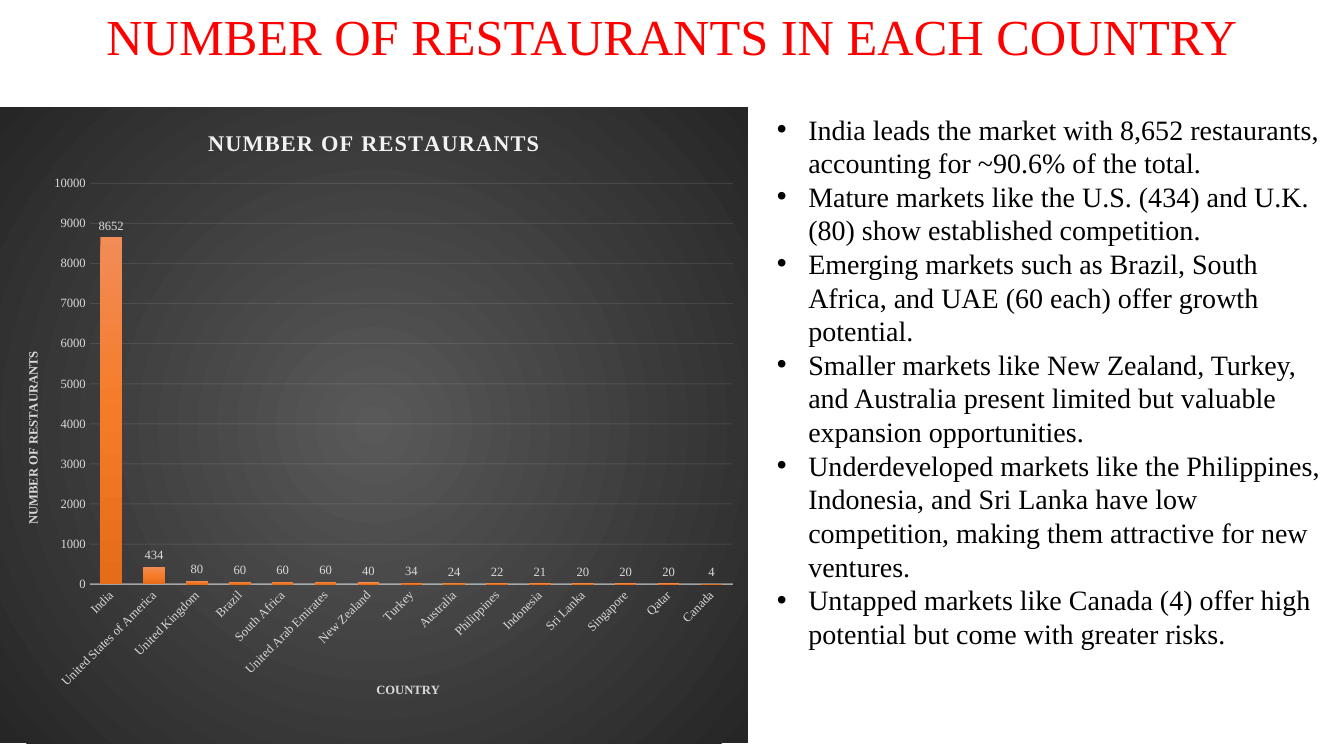
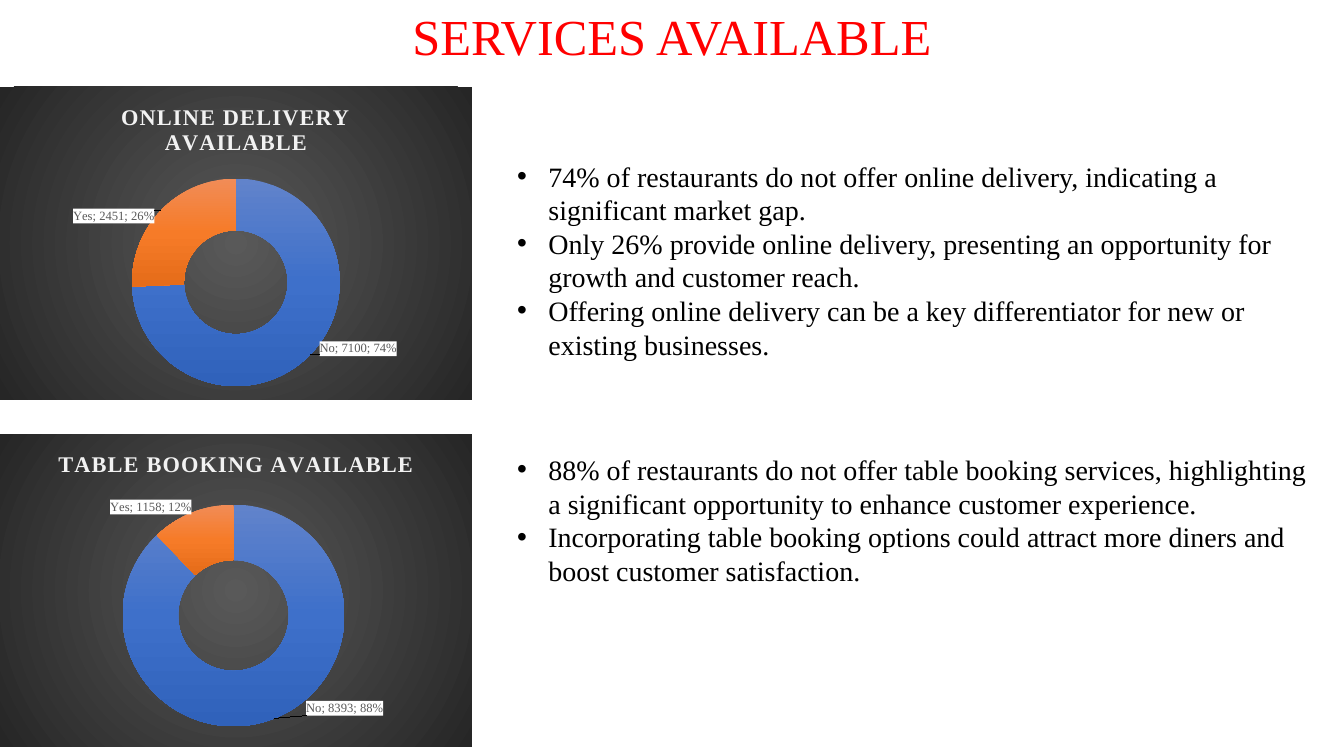
from pptx import Presentation
from pptx.chart.data import CategoryChartData
from pptx.dml.color import RGBColor
from pptx.enum.chart import XL_CHART_TYPE as CT, XL_LABEL_POSITION as POS, XL_TICK_MARK as TICK
from pptx.enum.text import MSO_ANCHOR as ANCHOR, MSO_AUTO_SIZE as AUTO, PP_ALIGN as ALIGN
from pptx.oxml import parse_xml
from pptx.oxml.ns import nsdecls, qn
from pptx.util import Cm, Pt

RED = RGBColor(0xFF, 0x00, 0x00)
BLACK = RGBColor(0x00, 0x00, 0x00)
WHITE = RGBColor(0xFF, 0xFF, 0xFF)
PALE = RGBColor(0xF2, 0xF2, 0xF2)
SILVER = RGBColor(0xD9, 0xD9, 0xD9)
GREY = RGBColor(0x59, 0x59, 0x59)
CHARCOAL = RGBColor(0x26, 0x26, 0x26)
ORANGES = (RGBColor(0xF1, 0x8C, 0x57), RGBColor(0xF6, 0x7B, 0x28), RGBColor(0xE5, 0x6C, 0x19))
BLUES = (RGBColor(0x61, 0x83, 0xCB), RGBColor(0x3E, 0x70, 0xCA), RGBColor(0x30, 0x62, 0xBB))
FONT = "Times New Roman"
NS = nsdecls("c", "a")
DOWNWARD = '<a:lin ang="5400000" scaled="0"/>'
RADIAL = ('<a:path path="circle"><a:fillToRect l="50000" t="50000" '
          'r="50000" b="50000"/></a:path>')

COUNTRIES = {
    "India": 8652, "United States of America": 434, "United Kingdom": 80,
    "Brazil": 60, "South Africa": 60, "United Arab Emirates": 60,
    "New Zealand": 40, "Turkey": 34, "Australia": 24, "Philippines": 22,
    "Indonesia": 21, "Sri Lanka": 20, "Singapore": 20, "Qatar": 20, "Canada": 4,
}
COUNTRY_POINTS = [
    "India leads the market with 8,652 restaurants, accounting for ~90.6% of the total.",
    "Mature markets like the U.S. (434) and U.K. (80) show established competition.",
    "Emerging markets such as Brazil, South Africa, and UAE (60 each) offer growth potential.",
    "Smaller markets like New Zealand, Turkey, and Australia present limited but valuable "
    "expansion opportunities.",
    "Underdeveloped markets like the Philippines, Indonesia, and Sri Lanka have low "
    "competition, making them attractive for new ventures.",
    "Untapped markets like Canada (4) offer high potential but come with greater risks.",
]
DELIVERY_POINTS = [
    "74% of restaurants do not offer online delivery, indicating a significant market gap.",
    "Only 26% provide online delivery, presenting an opportunity for growth and customer reach.",
    "Offering online delivery can be a key differentiator for new or existing businesses.",
]
BOOKING_POINTS = [
    "88% of restaurants do not offer table booking services, highlighting a significant "
    "opportunity to enhance customer experience.",
    "Incorporating table booking options could attract more diners and boost customer "
    "satisfaction.",
]


def gradient(colors, direction):
    step = 100000 // (len(colors) - 1)
    stops = "".join(f'<a:gs pos="{i * step}"><a:srgbClr val="{c}"/></a:gs>'
                    for i, c in enumerate(colors))
    return f'<a:gradFill {NS} rotWithShape="1"><a:gsLst>{stops}</a:gsLst>{direction}</a:gradFill>'


def layout(x, y, w=None, h=None, inner=False, edge=True):
    rows = [("layoutTarget", "inner")] if inner else []
    if edge:
        rows += [("xMode", "edge"), ("yMode", "edge")]
    rows += [(k, v) for k, v in zip("xywh", (x, y, w, h)) if v is not None]
    body = "".join(f'<c:{k} val="{v}"/>' for k, v in rows)
    return f"<c:layout {NS}><c:manualLayout>{body}</c:manualLayout></c:layout>"


def style(font, size, color, bold=False):
    font.name, font.size, font.bold = FONT, Pt(size), bold
    font.color.rgb = color


class Deck:
    """Holds the shared style and the current slide."""

    def __init__(self):
        self.prs = Presentation()
        self.prs.slide_width, self.prs.slide_height = Cm(33.87), Cm(19.05)
        self.s = None

    def slide(self, title):
        self.s = self.prs.slides.add_slide(self.prs.slide_layouts[6])
        tf = self.text_frame(0, 0, 33.87, 1.8)
        self.run(tf.paragraphs[0], title, 36, RED)
        tf.paragraphs[0].alignment = ALIGN.CENTER

    def text_frame(self, x, y, w, h, anchor=ANCHOR.TOP):
        tf = self.s.shapes.add_textbox(Cm(x), Cm(y), Cm(w), Cm(h)).text_frame
        tf.word_wrap = True
        tf.auto_size = AUTO.SHAPE_TO_FIT_TEXT
        tf.vertical_anchor = anchor
        return tf

    def run(self, p, text, size, color, bold=False):
        r = p.add_run()
        r.text = text
        style(r.font, size, color, bold)
        return r

    def bullets(self, x, y, w, h, items, anchor=ANCHOR.TOP):
        tf = self.text_frame(x, y, w, h, anchor)
        for i, item in enumerate(items):
            p = tf.add_paragraph() if i else tf.paragraphs[0]
            self.run(p, item, 20, BLACK)
            pPr = p._p.get_or_add_pPr()
            pPr.set("marL", str(Cm(0.79)))
            pPr.set("indent", str(-Cm(0.79)))
            pPr.append(parse_xml(f'<a:buFont {NS} typeface="Arial"/>'))
            pPr.append(parse_xml(f'<a:buChar {NS} char="•"/>'))

    def chart(self, kind, box, title, series, values, plot_box):
        data = CategoryChartData()
        data.categories = list(values)
        data.add_series(series, list(values.values()))
        chart = self.s.shapes.add_chart(kind, *map(Cm, box), data).chart
        style(chart.font, 10, BLACK)
        chart.has_legend = False
        chart.has_title = True
        r = self.run(chart.chart_title.text_frame.paragraphs[0], title, 16, PALE, True)
        r.font._element.set("spc", "100")
        root = chart.element
        root.find(qn("c:chart")).addnext(parse_xml(
            f"<c:spPr {NS}>{gradient((GREY, CHARCOAL), RADIAL)}<a:ln><a:noFill/></a:ln></c:spPr>"))
        area = root.find(".//" + qn("c:plotArea"))
        for old in area.findall(qn("c:layout")):
            area.remove(old)
        area.insert(0, parse_xml(layout(*plot_box, inner=True)))
        return chart

    def paint(self, chart, targets, ramps):
        for target in targets:
            target.format.fill.solid()
        fills = chart.element.xpath(".//c:ser//c:spPr/a:solidFill")
        for fill, ramp in zip(fills, ramps):
            fill.getparent().replace(fill, parse_xml(gradient(ramp, DOWNWARD)))

    def line(self, fmt, width, opacity, chart, holder):
        fmt.line.color.rgb = PALE
        fmt.line.width = Pt(width)
        color = chart.element.xpath(f".//{holder}/c:spPr/a:ln/a:solidFill/a:srgbClr")[0]
        color.append(parse_xml(f'<a:alpha {NS} val="{opacity * 1000}"/>'))

    def axis(self, chart, axis, tag, title, x, y):
        axis.major_tick_mark = axis.minor_tick_mark = TICK.NONE
        style(axis.tick_labels.font, 9, SILVER)
        self.run(axis.axis_title.text_frame.paragraphs[0], title, 9, SILVER, True)
        t = chart.element.xpath(f".//{tag}/c:title")[0]
        for old in t.findall(qn("c:layout")):
            t.remove(old)
        t.find(qn("c:tx")).addnext(parse_xml(layout(x, y)))

    def columns(self, box, title, values, plot_box):
        chart = self.chart(CT.COLUMN_CLUSTERED, box, title, title, values, plot_box)
        plot, cat, val = chart.plots[0], chart.category_axis, chart.value_axis
        plot.gap_width, plot.overlap = 100, -24
        plot.vary_by_categories = False
        self.paint(chart, plot.series, [ORANGES])
        plot.has_data_labels = True
        labels = plot.data_labels
        labels.show_value, labels.position = True, POS.OUTSIDE_END
        style(labels.font, 9, SILVER)
        self.axis(chart, cat, "c:catAx", "COUNTRY", 0.5, 0.9)
        self.axis(chart, val, "c:valAx", title, 0.03, 0.38)
        val.minimum_scale, val.maximum_scale, val.major_unit = 0, 10000, 1000
        val.format.line.fill.background()
        self.line(cat.format, 1, 54, chart, "c:catAx")
        self.line(val.major_gridlines.format, 0.75, 10, chart, "c:majorGridlines")
        for where, angle in (("c:catAx/c:txPr", -45), ("c:valAx/c:title//c:rich", -90)):
            body = chart.element.xpath(f".//{where}/a:bodyPr")[0]
            body.set("rot", str(angle * 60000))
            body.set("vert", "horz")

    def doughnut(self, box, title, values, plot_box, offsets):
        chart = self.chart(CT.DOUGHNUT, box, title, "Series 1", values, plot_box)
        plot = chart.plots[0]
        plot.vary_by_categories = True
        points = plot.series[0].points
        self.paint(chart, [points[i] for i in range(len(values))], [BLUES, ORANGES])
        chart.element.xpath(".//c:holeSize")[0].set("val", "75")
        look = (f'<c:spPr><a:solidFill><a:srgbClr val="{WHITE}"/></a:solidFill></c:spPr>'
                '<c:txPr><a:bodyPr/><a:p><a:pPr><a:defRPr sz="900" b="0"><a:solidFill>'
                f'<a:srgbClr val="{GREY}"/></a:solidFill><a:latin typeface="{FONT}"/>'
                '</a:defRPr></a:pPr><a:endParaRPr lang="en-US"/></a:p></c:txPr>')
        flags = (("LegendKey", 0), ("Val", 1), ("CatName", 1), ("SerName", 0),
                 ("Percent", 1), ("BubbleSize", 0))
        look += "".join(f'<c:show{k} val="{v}"/>' for k, v in flags)
        look += "<c:separator>; </c:separator>"
        labels = "".join(f'<c:dLbl><c:idx val="{i}"/>{layout(*xy, edge=False)}{look}</c:dLbl>'
                         for i, xy in enumerate(offsets))
        chart.element.xpath(".//c:ser/c:cat")[0].addprevious(
            parse_xml(f"<c:dLbls {NS}>{labels}{look}</c:dLbls>"))


def main():
    deck = Deck()
    deck.slide("NUMBER OF RESTAURANTS IN EACH COUNTRY")
    deck.columns((0, 2.7, 18.85, 16.03), "NUMBER OF RESTAURANTS", COUNTRIES,
                 (0.12, 0.12, 0.86, 0.63))
    deck.bullets(19.33, 2.7, 14.53, 13.95, COUNTRY_POINTS)

    deck.slide("SERVICES AVAILABLE")
    deck.doughnut((0, 2.19, 11.89, 7.88), "ONLINE DELIVERY AVAILABLE",
                  {"No": 7100, "Yes": 2451}, (0.28, 0.29, 0.44, 0.67),
                  [(0.14, 0.04), (-0.14, -0.04)])
    deck.doughnut((0, 10.94, 11.89, 7.88), "TABLE BOOKING AVAILABLE",
                  {"No": 8393, "Yes": 1158}, (0.26, 0.22, 0.47, 0.72),
                  [(0.17, 0.05), (-0.11, -0.1)])
    deck.bullets(12.78, 3.86, 20.47, 5.38, DELIVERY_POINTS, ANCHOR.MIDDLE)
    deck.bullets(12.78, 11.28, 20.47, 3.68, BOOKING_POINTS)
    deck.prs.save("out.pptx")


if __name__ == "__main__":
    main()
